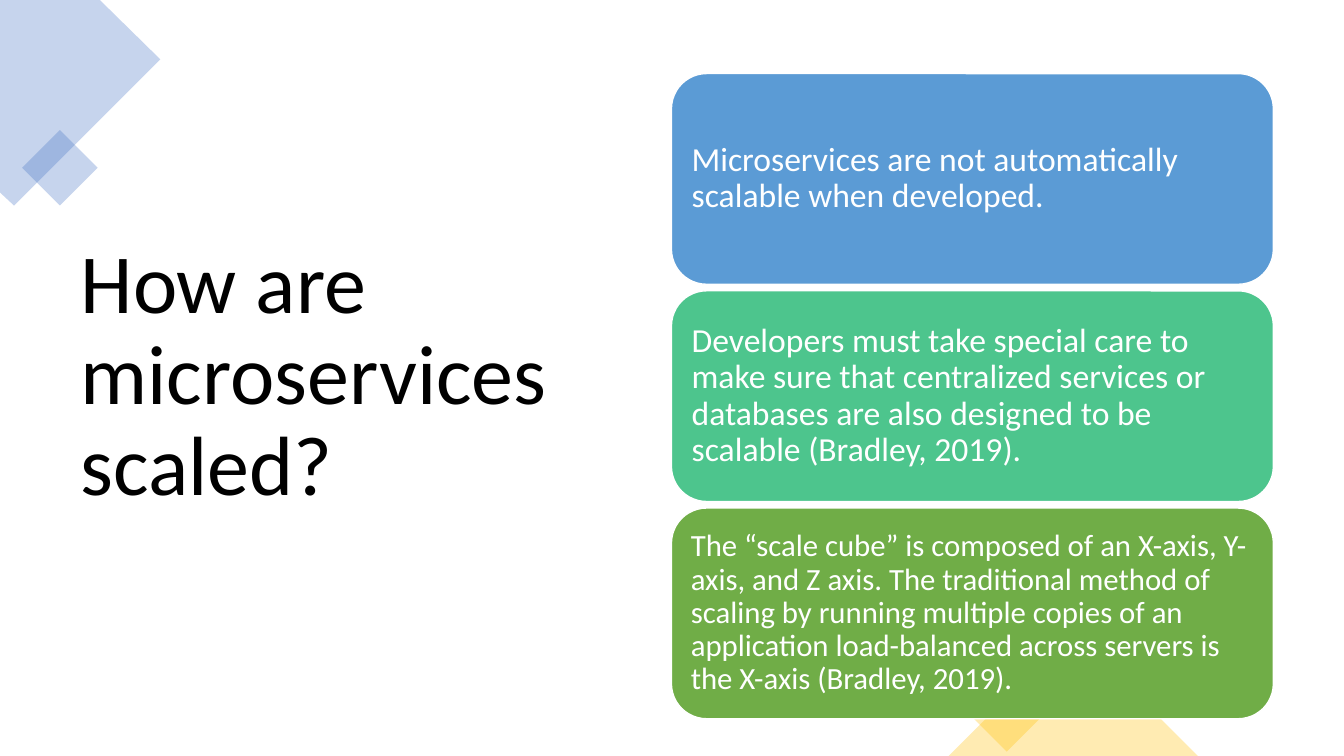
from pptx import Presentation
from pptx.dml.color import RGBColor
from pptx.enum.shapes import MSO_SHAPE as Kind
from pptx.enum.text import MSO_ANCHOR as Anchor, MSO_AUTO_SIZE as Auto, PP_ALIGN as Align
from pptx.oxml.ns import qn
from pptx.util import Inches, Pt
from lxml.etree import SubElement


def paint(shape, color, alpha=100):
    shape.shadow.inherit = False
    shape.fill.solid()
    shape.fill.fore_color.rgb = RGBColor.from_string(color)
    shape.line.fill.background()
    if alpha < 100:
        tone = shape.fill._xPr.find(qn("a:solidFill"))[0]
        SubElement(tone, qn("a:alpha"), val=str(alpha * 1000))


def write(shape, text, size, color, inset):
    frame = shape.text_frame
    frame.text = text
    frame.word_wrap = True
    frame.auto_size = Auto.NONE
    frame.vertical_anchor = Anchor.MIDDLE
    frame.margin_left = frame.margin_right = Inches(inset)
    frame.margin_top = frame.margin_bottom = Inches(inset)
    para = frame.paragraphs[0]
    para.alignment = Align.LEFT
    para.line_spacing = 0.9
    font = para.runs[0].font
    font.name = "Calibri"
    font.size = Pt(size)
    font.color.rgb = RGBColor.from_string(color)


deck = Presentation()
deck.slide_width = Inches(13.33)
deck.slide_height = Inches(7.5)
slide = deck.slides.add_slide(deck.slide_layouts[5])
shapes = slide.shapes

title = shapes.title
title.left, title.top = Inches(0.7), Inches(0.7)
title.width, title.height = Inches(5.25), Inches(6.09)
write(title, "How are microservices scaled?", 60, "000000", 0.1)

pen = shapes.build_freeform(0, 0, scale=Inches(1) / 100)
pen.add_line_segments([(99, 0), (159, 59), (14, 204), (0, 191)])
paint(pen.convert_to_shape(), "4472C4", 30)

accents = [
    (Kind.RECTANGLE, 0.33, 1.4, 0.53, 0.53, 45, "4472C4"),
    (Kind.RECTANGLE, 9.63, 6.6, 0.71, 0.71, 45, "FFC000"),
    (Kind.ISOSCELES_TRIANGLE, 9.41, 6.26, 2.47, 1.24, 0, "FFC000"),
]
for kind, left, top, width, height, turn, color in accents:
    accent = shapes.add_shape(kind, Inches(left), Inches(top), Inches(width), Inches(height))
    accent.rotation = turn
    paint(accent, color, 30)

cards = [
    ("5B9BD5", 24, 0.1, "Microservices are not automatically scalable when developed."),
    ("4DC58D", 24, 0.1, "Developers must take special care to make sure that centralized "
     "services or databases are also designed to be scalable (Bradley, 2019)."),
    ("70AD47", 22, 0.09, "The “scale cube” is composed of an X-axis, Y-axis, and Z axis. "
     "The traditional method of scaling by running multiple copies of an application "
     "load-balanced across servers is the X-axis (Bradley, 2019)."),
]
for row, (color, size, inset, text) in enumerate(cards):
    top = 0.73 + row * 2.155
    card = shapes.add_shape(Kind.ROUNDED_RECTANGLE, Inches(6.66), Inches(top), Inches(5.97), Inches(2.09))
    paint(card, color)
    card.line.color.rgb = RGBColor.from_string("FFFFFF")
    card.line.width = Pt(1)
    write(card, text, size, "FFFFFF", inset)

deck.save("out.pptx")
